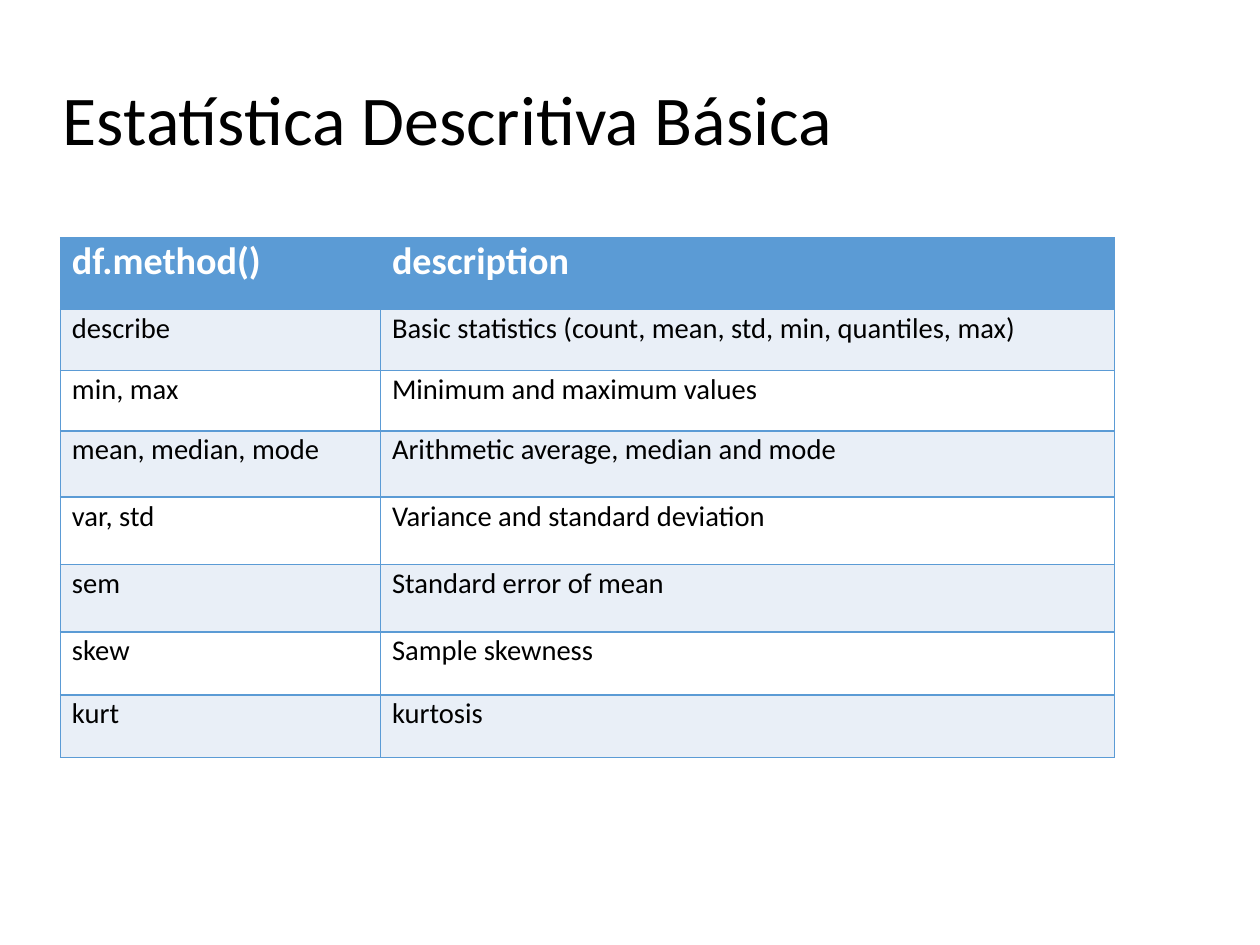
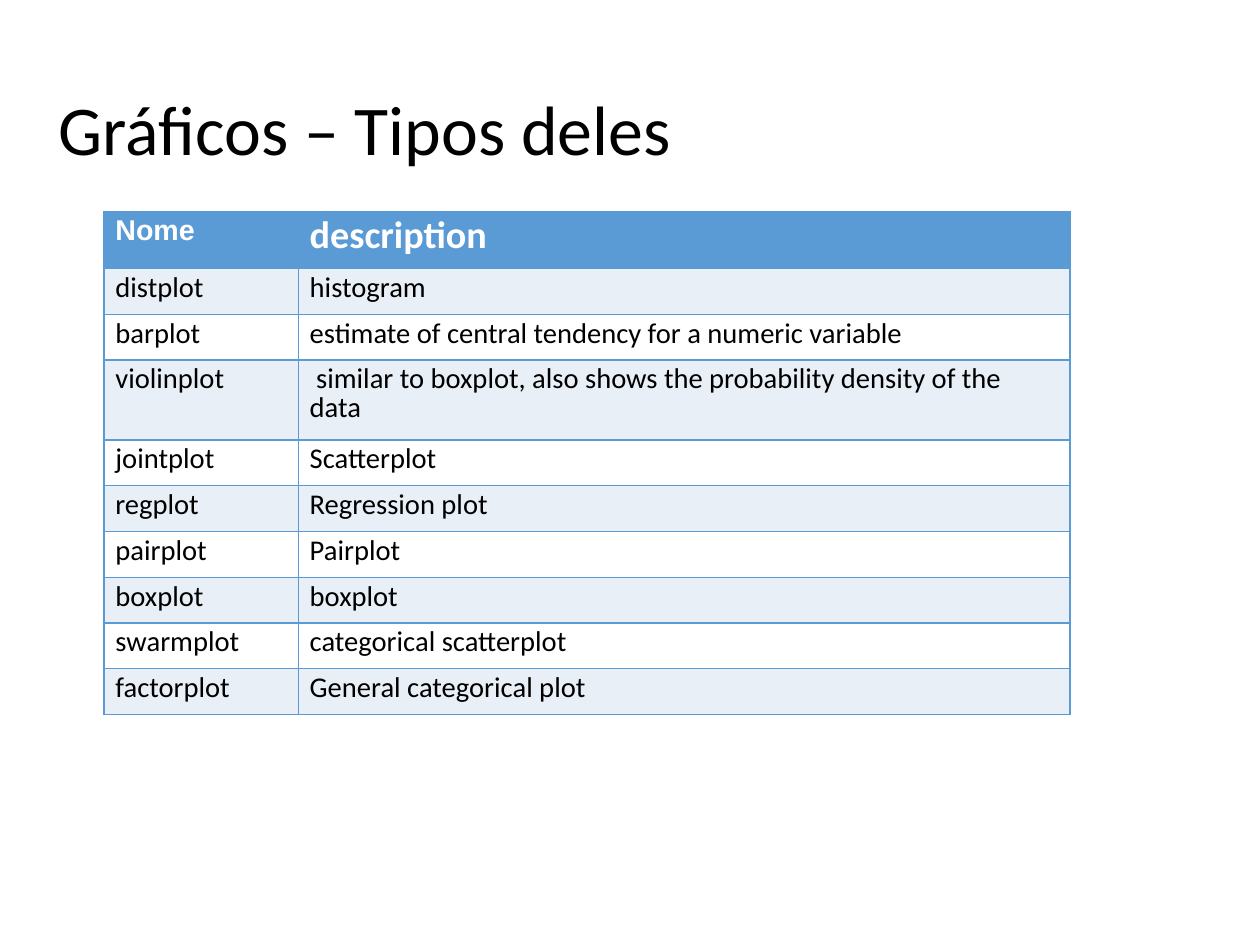
from dataclasses import dataclass

from lxml import etree
from pptx import Presentation
from pptx.dml.color import RGBColor
from pptx.enum import text
from pptx.oxml import ns
from pptx.util import Cm, Inches, Pt


@dataclass(frozen=True)
class Theme:
    font: str = "Calibri"
    black: str = "000000"
    white: str = "FFFFFF"
    accent: str = "5B9BD5"
    band: str = "E9EFF7"
    title_size: float = 44
    head_size: float = 24
    body_size: float = 18
    border: float = 0.96
    line_spacing: float = 0.83
    paragraph_gap: float = 0.1


THEME = Theme()

SLIDES = [
    {
        "title": "Estatística Descritiva Básica",
        "title_at": (0.55, 0.64, 7.8, 0.55),
        "table_at": (0.53, 2.08),
        "columns": (2.8, 6.42),
        "row_heights": (0.63, 0.53, 0.53, 0.58, 0.59, 0.59, 0.55, 0.55),
        "rows": [
            ("df.method()", "description"),
            ("describe", "Basic statistics (count, mean, std, min, quantiles, max)"),
            ("min, max", "Minimum and maximum values"),
            ("mean, median, mode", "Arithmetic average, median and mode"),
            ("var, std", "Variance and standard deviation"),
            ("sem", "Standard error of mean"),
            ("skew", "Sample skewness"),
            ("kurt", "kurtosis"),
        ],
        "head_styles": {},
    },
    {
        "title": "Gráficos – Tipos deles",
        "title_at": (0.51, 0.72, 8.19, 0.69),
        "table_at": (0.91, 1.85),
        "columns": (1.7, 6.75),
        "row_heights": (0.5, 0.4, 0.4, 0.7) + (0.4,) * 6,
        "rows": [
            ("Nome", "description"),
            ("distplot", "histogram"),
            ("barplot", "estimate of central tendency for a numeric variable"),
            ("violinplot", " similar to boxplot, also shows the probability density of the data"),
            ("jointplot", "Scatterplot"),
            ("regplot", "Regression plot"),
            ("pairplot", "Pairplot"),
            ("boxplot", "boxplot"),
            ("swarmplot", "categorical scatterplot"),
            ("factorplot", "General categorical plot"),
        ],
        "head_styles": {0: {"size": THEME.body_size, "font": "Arial", "spacing": 0.93}},
    },
]


def write(frame, words, size, color, bold=False, font=THEME.font, spacing=THEME.line_spacing):
    frame.text = words
    para = frame.paragraphs[0]
    para.alignment = text.PP_ALIGN.LEFT
    para.line_spacing = spacing
    para.space_before = para.space_after = Pt(THEME.paragraph_gap)
    style = para.runs[0].font
    style.name, style.size, style.bold = font, Pt(size), bold
    style.color.rgb = RGBColor.from_string(color)


def paint_cell(cell, fill):
    """Give a cell its four borders, then its fill, in schema order."""
    properties = cell._tc.get_or_add_tcPr()
    for side in ("a:lnL", "a:lnR", "a:lnT", "a:lnB"):
        line = etree.SubElement(properties, ns.qn(side), w=str(Pt(THEME.border)))
        solid = etree.SubElement(line, ns.qn("a:solidFill"))
        etree.SubElement(solid, ns.qn("a:srgbClr"), val=THEME.accent)
    cell.fill.solid()
    cell.fill.fore_color.rgb = RGBColor.from_string(fill)


def add_title(slide, words, at):
    title = slide.shapes.title
    title.left, title.top, title.width, title.height = map(Inches, at)
    frame = title.text_frame
    frame.margin_left = frame.margin_right = frame.margin_bottom = 0
    frame.margin_top = Inches(0.15)
    frame.vertical_anchor = text.MSO_ANCHOR.TOP
    frame.auto_size = text.MSO_AUTO_SIZE.NONE
    frame.word_wrap = True
    write(frame, words, THEME.title_size, THEME.black)


def add_method_table(slide, content):
    rows, widths, heights = content["rows"], content["columns"], content["row_heights"]
    left, top = content["table_at"]
    table = slide.shapes.add_table(
        len(rows), len(widths), Inches(left), Inches(top),
        Inches(sum(widths)), Inches(sum(heights))).table
    for column, width in zip(table.columns, widths):
        column.width = Inches(width)
    for row, height in zip(table.rows, heights):
        row.height = Inches(height)

    for r, row in enumerate(rows):
        for c, words in enumerate(row):
            cell = table.cell(r, c)
            if r == 0:
                style = {"size": THEME.head_size, "color": THEME.white, "bold": True}
                style.update(content["head_styles"].get(c, {}))
                fill = THEME.accent
            else:
                style = {"size": THEME.body_size, "color": THEME.black}
                fill = THEME.band if r % 2 else THEME.white
            write(cell.text_frame, words, **style)
            paint_cell(cell, fill)


def main():
    deck = Presentation()
    deck.slide_width, deck.slide_height = Cm(28), Cm(21)
    title_only = deck.slide_layouts[5]
    for content in SLIDES:
        slide = deck.slides.add_slide(title_only)
        add_title(slide, content["title"], content["title_at"])
        add_method_table(slide, content)
    deck.save("out.pptx")


if __name__ == "__main__":
    main()
